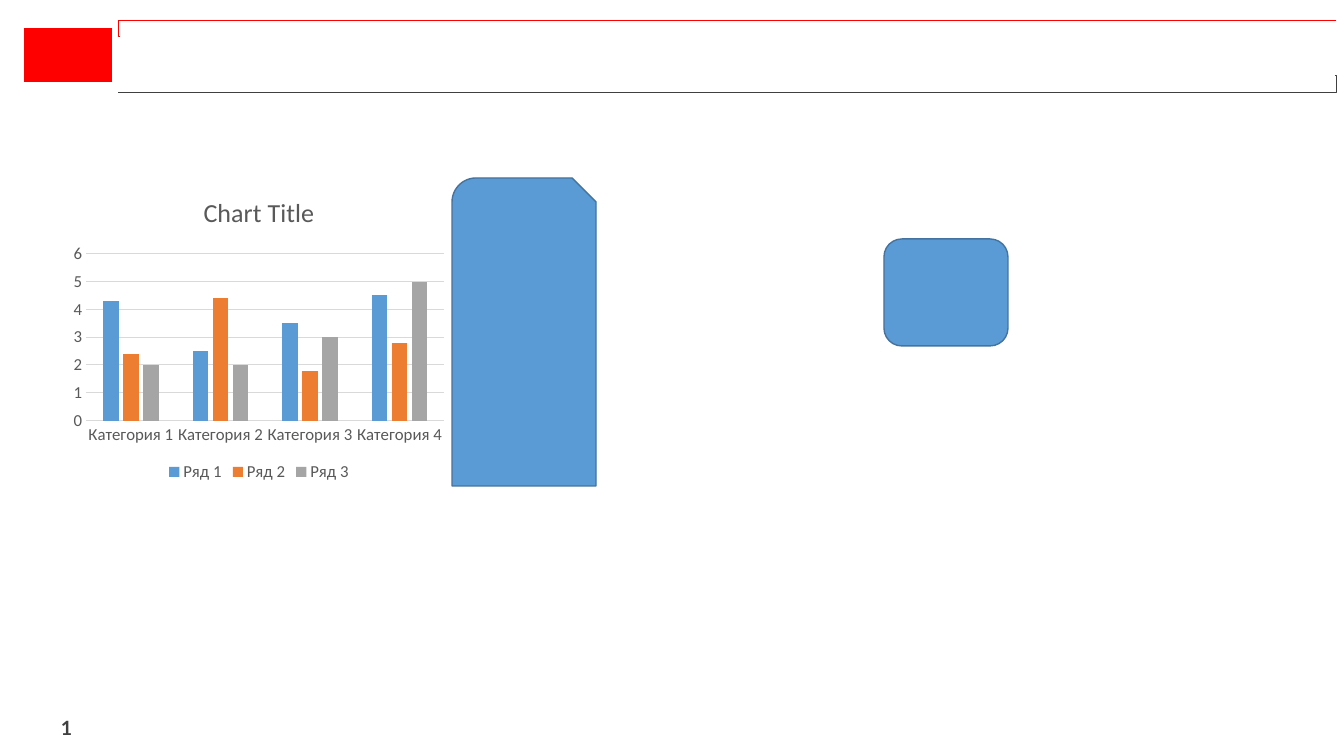
from lxml.etree import SubElement
from pptx import Presentation
from pptx.chart.data import CategoryChartData
from pptx.dml.color import RGBColor
from pptx.enum.chart import XL_CHART_TYPE, XL_LEGEND_POSITION, XL_TICK_MARK
from pptx.enum.shapes import MSO_CONNECTOR, MSO_SHAPE
from pptx.enum.text import MSO_ANCHOR, PP_ALIGN
from pptx.oxml.ns import qn
from pptx.util import Emu, Pt

COLORS = {
    "red": "FF0000", "dark": "404040", "text": "595959", "grid": "D9D9D9",
    "blue": "5B9BD5", "orange": "ED7D31", "gray": "A5A5A5", "outline": "43739E",
}
SLIDE_SIZE = (1344, 756)
EMU_PER_PX = 914400 / 100.8

# begin x, begin y, end x, end y, colour
HEADER_LINES = [
    (1335, 75, 118, 92, "dark"),
    (120, 36, 1336, 20, "red"),
]
# preset, (left, top, width, height), fill, outline
SHAPES = [
    (MSO_SHAPE.RECTANGLE, (24, 28, 88, 54), "red", None),
    (MSO_SHAPE.SNIP_ROUND_RECTANGLE, (452, 178, 144, 308), "blue", "outline"),
    (MSO_SHAPE.ROUNDED_RECTANGLE, (884, 239, 124, 107), "blue", "outline"),
]
PAGE_NUMBER = ("1", (24, 715, 85, 26))
CHART_BOX = (66, 178, 386, 308)
CHART_TITLE = "Chart Title"
CATEGORIES = ["Категория 1", "Категория 2", "Категория 3", "Категория 4"]
SERIES = [
    ("Ряд 1", (4.3, 2.5, 3.5, 4.5), "blue"),
    ("Ряд 2", (2.4, 4.4, 1.8, 2.8), "orange"),
    ("Ряд 3", (2, 2, 3, 5), "gray"),
]


def px(*lengths):
    return [Emu(round(length * EMU_PER_PX)) for length in lengths]


def rgb(name):
    return RGBColor.from_string(COLORS[name])


def style_line(line, color, width):
    line.color.rgb = rgb(color)
    line.width = Pt(width)


def style_font(font, size, color, name="Calibri", bold=False):
    font.size, font.name, font.bold = Pt(size), name, bold
    font.color.rgb = rgb(color)


def add_header_line(page, *ends, color):
    """Elbow whose short leg stands just outside its begin point."""
    line = page.shapes.add_connector(MSO_CONNECTOR.ELBOW, *px(*ends))
    style_line(line.line, color, 0.5)
    properties = line._element.spPr
    geometry = properties.find(qn("a:prstGeom"))
    guides = geometry.find(qn("a:avLst"))
    if guides is None:
        guides = SubElement(geometry, qn("a:avLst"))
    SubElement(guides, qn("a:gd"), name="adj1", fmla="val -100")
    SubElement(properties, qn("a:effectLst"))


def add_block(page, preset, box, fill, outline):
    block = page.shapes.add_shape(preset, *px(*box))
    block.shadow.inherit = False
    block.fill.solid()
    block.fill.fore_color.rgb = rgb(fill)
    if outline:
        style_line(block.line, outline, 1)
    else:
        block.line.fill.background()


def add_page_number(page, text, box):
    frame = page.shapes.add_textbox(*px(*box)).text_frame
    frame.word_wrap = True
    frame.vertical_anchor = MSO_ANCHOR.MIDDLE
    frame.margin_left = frame.margin_right = 0
    frame.margin_top = frame.margin_bottom = 0
    para = frame.paragraphs[0]
    para.alignment = PP_ALIGN.CENTER
    span = para.add_run()
    span.text = text
    style_font(span.font, 14, "dark", "Lato", True)


def add_column_chart(page):
    data = CategoryChartData()
    data.categories = CATEGORIES
    for name, values, _ in SERIES:
        data.add_series(name, values)
    chart = page.shapes.add_chart(
        XL_CHART_TYPE.COLUMN_CLUSTERED, *px(*CHART_BOX), data).chart
    style_font(chart.font, 12, "text")

    chart.has_title = True
    span = chart.chart_title.text_frame.paragraphs[0].add_run()
    span.text = CHART_TITLE
    style_font(span.font, 18.6, "text")
    chart.chart_title.include_in_layout = False

    chart.has_legend = True
    chart.legend.position = XL_LEGEND_POSITION.BOTTOM
    chart.legend.include_in_layout = False
    style_font(chart.legend.font, 12, "text")

    for axis in (chart.category_axis, chart.value_axis):
        axis.major_tick_mark = axis.minor_tick_mark = XL_TICK_MARK.NONE
        style_font(axis.tick_labels.font, 12, "text")
    style_line(chart.category_axis.format.line, "grid", 0.75)
    values_axis = chart.value_axis
    values_axis.minimum_scale, values_axis.maximum_scale = 0, 6
    values_axis.major_unit = 1
    values_axis.format.line.fill.background()
    style_line(values_axis.major_gridlines.format.line, "grid", 0.75)

    plot = chart.plots[0]
    plot.gap_width, plot.overlap = 219, -27
    plot.vary_by_categories = False
    for series, (_, _, color) in zip(plot.series, SERIES):
        series.format.fill.solid()
        series.format.fill.fore_color.rgb = rgb(color)


def main():
    deck = Presentation()
    deck.slide_width, deck.slide_height = px(*SLIDE_SIZE)
    page = deck.slides.add_slide(deck.slide_layouts[6])
    for *ends, color in HEADER_LINES:
        add_header_line(page, *ends, color=color)
    add_page_number(page, *PAGE_NUMBER)
    add_column_chart(page)
    for shape in SHAPES:
        add_block(page, *shape)
    deck.save("out.pptx")


if __name__ == "__main__":
    main()
